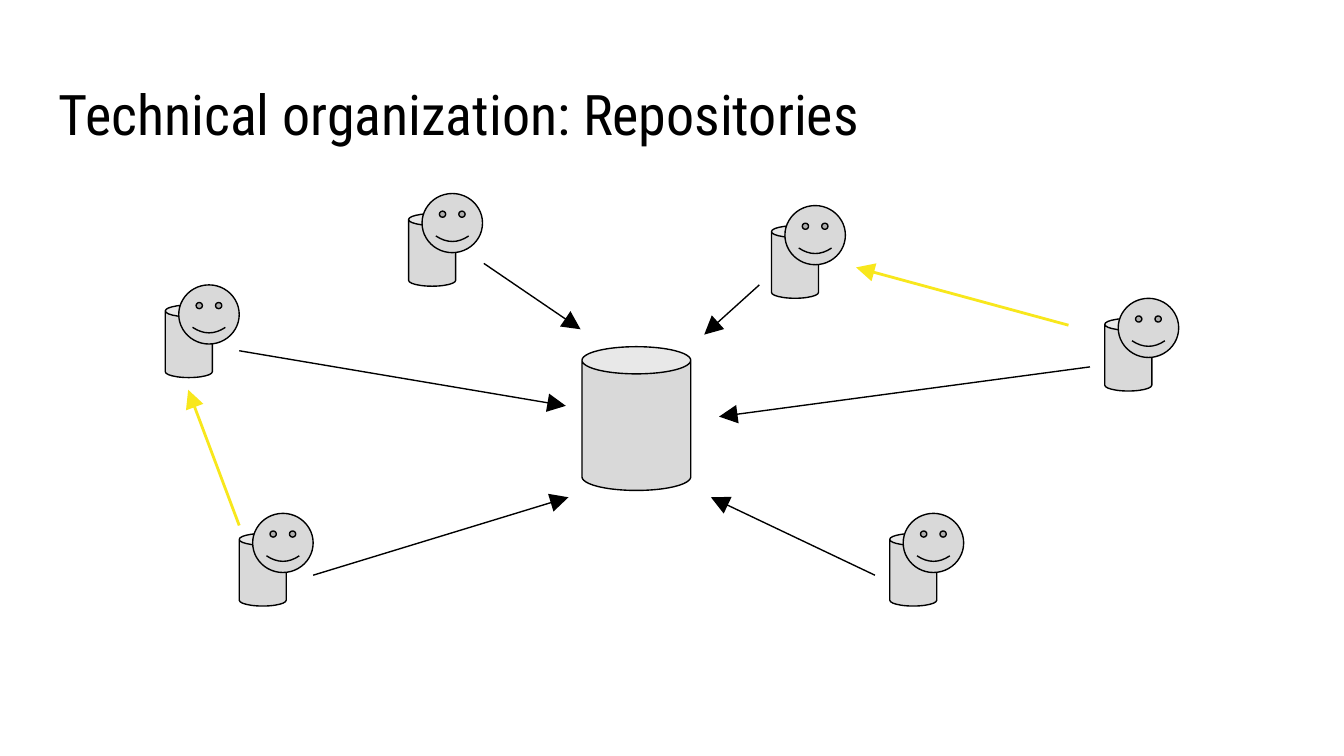
"""Build a slide of people around a shared repository."""
from lxml import etree
from pptx import Presentation
from pptx import util as u
from pptx.dml.color import RGBColor
from pptx.enum import shapes, text
from pptx.oxml import ns

PX = 9144
WIDTH = 1000 * PX
HEIGHT = WIDTH * 9 // 16
BLACK = RGBColor(0x00, 0x00, 0x00)
GRAY = RGBColor(0xD9, 0xD9, 0xD9)
YELLOW = RGBColor(0xF8, 0xE7, 0x1C)
FONT = "Roboto Condensed"

PEOPLE = [(178, 382), (123, 212), (662, 382), (574, 153), (304, 144), (822, 222)]
PUSHES = [
    (178, 261, 421, 302), (233, 428, 423, 370), (360, 196, 432, 245),
    (565, 212, 524, 249), (811, 273, 535, 310), (651, 428, 529, 370),
]
EXCHANGES = [(178, 391, 140, 290), (795, 242, 637, 199)]


def write(frame, words, size=30, font=FONT, color=BLACK):
    para = frame.paragraphs[0]
    para.alignment = text.PP_ALIGN.LEFT
    span = para.add_run()
    span.text = words
    span.font.size = u.Pt(size)
    span.font.name = font
    span.font.color.rgb = color


class Sketch:
    def __init__(self, page):
        self.page = page
        self.fill = GRAY
        self.outline = BLACK
        self.weight = 0.75

    def title(self, words, *bounds):
        box = self.page.shapes.add_textbox(*(n * PX for n in bounds))
        frame = box.text_frame
        frame.word_wrap = True
        frame.vertical_anchor = text.MSO_ANCHOR.TOP
        frame.margin_left = frame.margin_right = 10 * PX
        frame.margin_top = frame.margin_bottom = 10 * PX
        write(frame, words)

    def shape(self, kind, *bounds, parent=None):
        holder = parent or self.page
        shape = holder.shapes.add_shape(kind, *(n * PX for n in bounds))
        shape.shadow.inherit = False
        shape.fill.solid()
        shape.fill.fore_color.rgb = self.fill
        shape.line.color.rgb = self.outline
        shape.line.width = u.Pt(self.weight)

    def can(self, *bounds, parent=None):
        self.shape(shapes.MSO_SHAPE.CAN, *bounds, parent=parent)

    def person(self, left, top):
        group = self.page.shapes.add_group_shape()
        self.can(left, top + 15, 35, 54, parent=group)
        self.shape(shapes.MSO_SHAPE.SMILEY_FACE, left + 10, top, 45, 44, parent=group)

    def arrow(self, *ends, color=BLACK, weight=0.75):
        arrow = self.page.shapes.add_connector(
            shapes.MSO_CONNECTOR.STRAIGHT, *(n * PX for n in ends))
        arrow.line.color.rgb = color
        arrow.line.width = u.Pt(weight)
        line = arrow.line._get_or_add_ln()
        etree.SubElement(line, ns.qn("a:tailEnd"), type="triangle", w="lg", len="lg")
        etree.SubElement(arrow._element.spPr, ns.qn("a:effectLst"))


def main():
    deck = Presentation()
    deck.slide_width, deck.slide_height = WIDTH, HEIGHT
    sketch = Sketch(deck.slides.add_slide(deck.slide_layouts[6]))
    sketch.title("Technical organization: Repositories", 34, 49, 932, 63)
    sketch.can(433, 258, 81, 107)
    for person in PEOPLE:
        sketch.person(*person)
    for ends in PUSHES:
        sketch.arrow(*ends)
    for ends in EXCHANGES:
        sketch.arrow(*ends, color=YELLOW, weight=1.5)
    deck.save("out.pptx")


if __name__ == "__main__":
    main()
